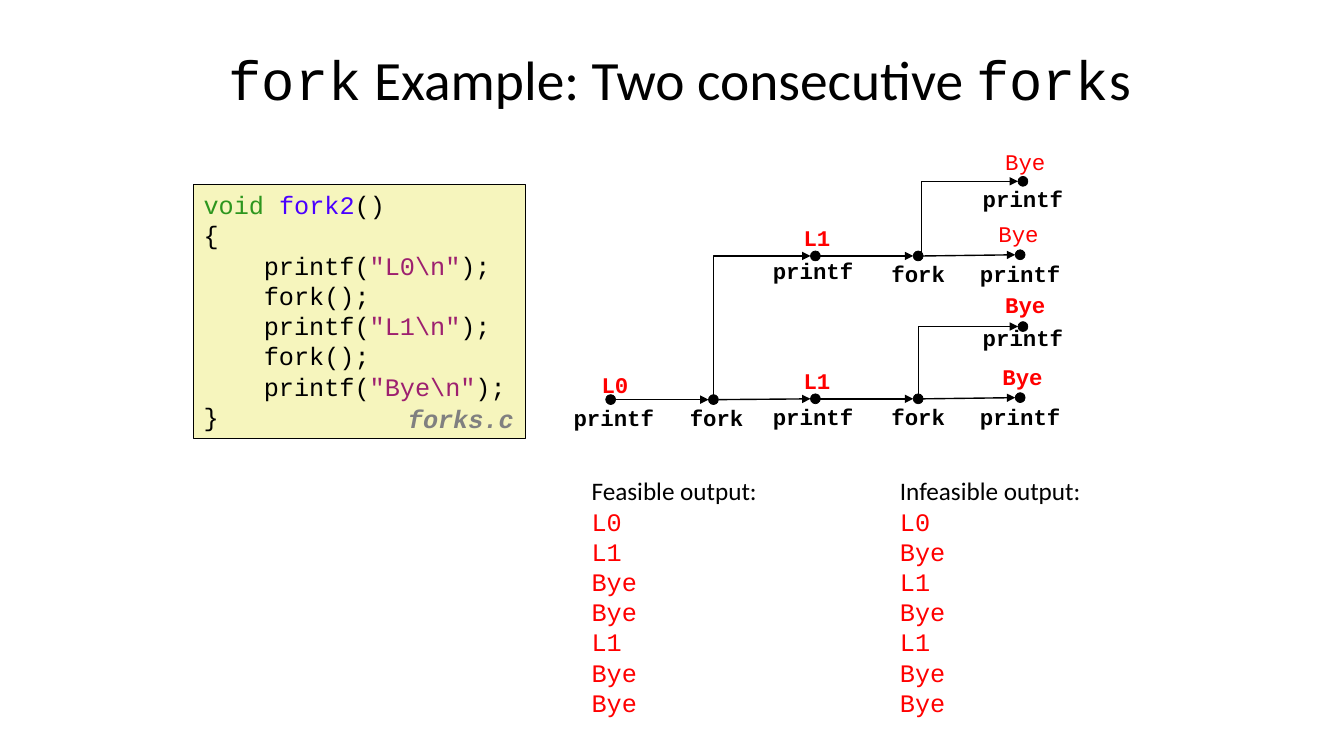
from pptx import Presentation
from pptx.dml.color import RGBColor
from pptx.enum.shapes import MSO_CONNECTOR, MSO_SHAPE
from pptx.enum.text import MSO_ANCHOR, PP_ALIGN
from pptx.oxml.ns import qn
from pptx.util import Cm, Pt
from lxml.etree import SubElement

COLORS = {"black": "000000", "red": "FF0000", "grey": "808080", "panel": "F6F5BD",
          "keyword": "2D961E", "name": "4A00FF", "string": "9D206F"}
MONO, SANS = "Courier New", "Calibri"
DOT = 0.25  # diameter of a node, cm


def rgb(color):
    return RGBColor.from_string(COLORS[color])


class ForkSlide:
    def __init__(self, slide):
        self.shapes = slide.shapes

    def style(self, font, size=None, color=None, face=None, bold=None, italic=None):
        font.name, font.bold, font.italic = face, bold, italic
        if size:
            font.size = Pt(size)
        if color:
            font.color.rgb = rgb(color)

    def shape(self, preset, x, y, w, h, fill, line_width):
        shape = self.shapes.add_shape(preset, Cm(x), Cm(y), Cm(w), Cm(h))
        shape.shadow.inherit = False
        shape.fill.solid()
        shape.fill.fore_color.rgb = rgb(fill)
        shape.line.color.rgb = rgb("black")
        shape.line.width = Pt(line_width)
        return shape

    def set_lines(self, frame, lines, size, color="black", face=MONO, bold=None, italic=None,
                  align=PP_ALIGN.LEFT, spacing=None):
        """A line is a string, or a list of (text, color, face) runs."""
        for number, line in enumerate(lines):
            paragraph = frame.add_paragraph() if number else frame.paragraphs[0]
            paragraph.alignment = align
            paragraph.line_spacing = spacing
            if isinstance(line, str):
                line = [(line, color, face)]
            same = len({run[1:] for run in line}) == 1
            shared = line[0][1:] if same else (None, None)
            self.style(paragraph.font, size, *shared, bold, italic)
            for words, run_color, run_face in line:
                run = paragraph.add_run()
                run.text = words
                if not same:
                    self.style(run.font, None, run_color, run_face)

    def text(self, x, y, w, h, lines, size, wrap=False, **look):
        frame = self.shapes.add_textbox(Cm(x), Cm(y), Cm(w), Cm(h)).text_frame
        frame.word_wrap = wrap
        self.set_lines(frame, lines, size, **look)
        return frame

    def label(self, center, top, words, color="black", bold=True):
        self.text(center - 1.32, top, 2.64, 0.94, [words], 16, wrap=True, color=color,
                  bold=bold, align=PP_ALIGN.CENTER)

    def dot(self, x, y):
        self.shape(MSO_SHAPE.OVAL, x - DOT / 2, y - DOT / 2, DOT, DOT, "black", 0.5)

    def finish_arrow(self, arrow):
        arrow.line.color.rgb = rgb("black")
        arrow.line.width = Pt(1)
        properties = arrow._element.spPr
        SubElement(properties.find(qn("a:ln")), qn("a:tailEnd"), type="triangle")
        SubElement(properties, qn("a:effectLst"))

    def arrow(self, start, end):
        """Straight arrow between the edges of two nodes."""
        (x1, y1), (x2, y2) = start, end
        self.finish_arrow(self.shapes.add_connector(
            MSO_CONNECTOR.STRAIGHT, Cm(x1 + DOT / 2), Cm(y1), Cm(x2 - DOT / 2), Cm(y2)))

    def branch(self, start, end):
        """Arrow that goes straight up, then right to the edge of a node."""
        (x1, y1), (x2, y2) = start, end
        x2 -= DOT / 2
        rise, run = y1 - y2, x2 - x1
        left, top = (x1 + x2 - rise) / 2, (y1 + y2 - run) / 2
        arrow = self.shapes.add_connector(MSO_CONNECTOR.ELBOW, Cm(left), Cm(top),
                                          Cm(left + rise), Cm(top + run))
        properties = arrow._element.spPr
        properties.find(qn("a:prstGeom")).set("prst", "bentConnector2")
        for key, value in (("rot", "5400000"), ("flipH", "1"), ("flipV", "1")):
            properties.find(qn("a:xfrm")).set(key, value)
        self.finish_arrow(arrow)


deck = Presentation()
deck.slide_width, deck.slide_height = Cm(33.87), Cm(19.05)
page = ForkSlide(deck.slides.add_slide(deck.slide_layouts[6]))

# Title
title = page.text(5.28, 1.27, 23.7, 1.6, [[
    ("fork", "black", MONO), (" Example: Two consecutive ", "black", SANS),
    ("fork", "black", MONO), ("s", "black", SANS)]], 39.6, wrap=True,
    align=PP_ALIGN.CENTER, spacing=0.9)
title.vertical_anchor = MSO_ANCHOR.MIDDLE


# Code panel
def print_line(literal):
    return [("printf(", "black", MONO), (f'"{literal}\\n"', "string", MONO),
            (");", "black", MONO)]


code = page.shape(MSO_SHAPE.RECTANGLE, 4.88, 4.65, 8.36, 6.4, "panel", 0.25).text_frame
code.word_wrap = False
code.vertical_anchor = MSO_ANCHOR.TOP
page.set_lines(code, [
    [("void ", "keyword", MONO), ("fork2", "name", MONO), ("()", "black", MONO)],
    "{", print_line("L0"), "fork();", print_line("L1"), "fork();", print_line("Bye"), "}"], 18)
for statement in code.paragraphs[2:-1]:
    statement._p.get_or_add_pPr().set("marL", str(Cm(1.52)))

# Process graph: the first print and the first fork
first_print, first_fork = (15.39, 10.07), (17.98, 10.07)
page.arrow(first_print, first_fork)
for node, name in ((first_print, "printf"), (first_fork, "fork")):
    page.dot(*node)
    page.label(node[0] + 0.08, 10.07, name)
page.label(15.5, 9.22, "L0", "red")

# One row per process; its second fork starts a branch above it
for row, print_top, branch_x, branch_y, branch_top, bye_x, bold in (
        (10.05, 10.03, 23.14, 8.23, 8.05, 25.77, True),
        (6.45, 6.35, 23.22, 4.57, 4.55, 25.67, False)):
    second_print, second_fork = (20.55, row), (23.14, row)
    last_print, branch_print = (25.71, row - 0.03), (25.78, branch_y)
    for node in (second_print, second_fork, last_print, branch_print):
        page.dot(*node)
    if row < first_fork[1] - 1:
        page.branch(first_fork, second_print)
    else:
        page.arrow(first_fork, second_print)
    page.arrow(second_print, second_fork)
    page.arrow(second_fork, last_print)
    page.branch((branch_x, row), branch_print)
    page.label(20.49, print_top, "printf")
    page.label(23.14, row - 0.02, "fork")
    page.label(25.71, row - 0.02, "printf")
    page.label(25.78, branch_top, "printf")
    page.label(20.59, row - 0.93, "L1", "red")
    page.label(bye_x, row - 1.03, "Bye", "red", bold)
    page.label(25.84, row - 2.85, "Bye", "red", bold)

# Outputs
for x, heading, output in ((14.66, "Feasible output:", "L0 L1 Bye Bye L1 Bye Bye"),
                           (22.43, "Infeasible output:", "L0 Bye L1 Bye L1 Bye Bye")):
    page.text(x, 11.86, 5.1, 6.4, [[(heading, "black", SANS)], *output.split()], 18,
              color="red")

# File name
page.text(10.03, 10.11, 3.18, 0.99, ["forks.c"], 18, color="grey", bold=True, italic=True,
          spacing=0.94)

deck.save("out.pptx")
